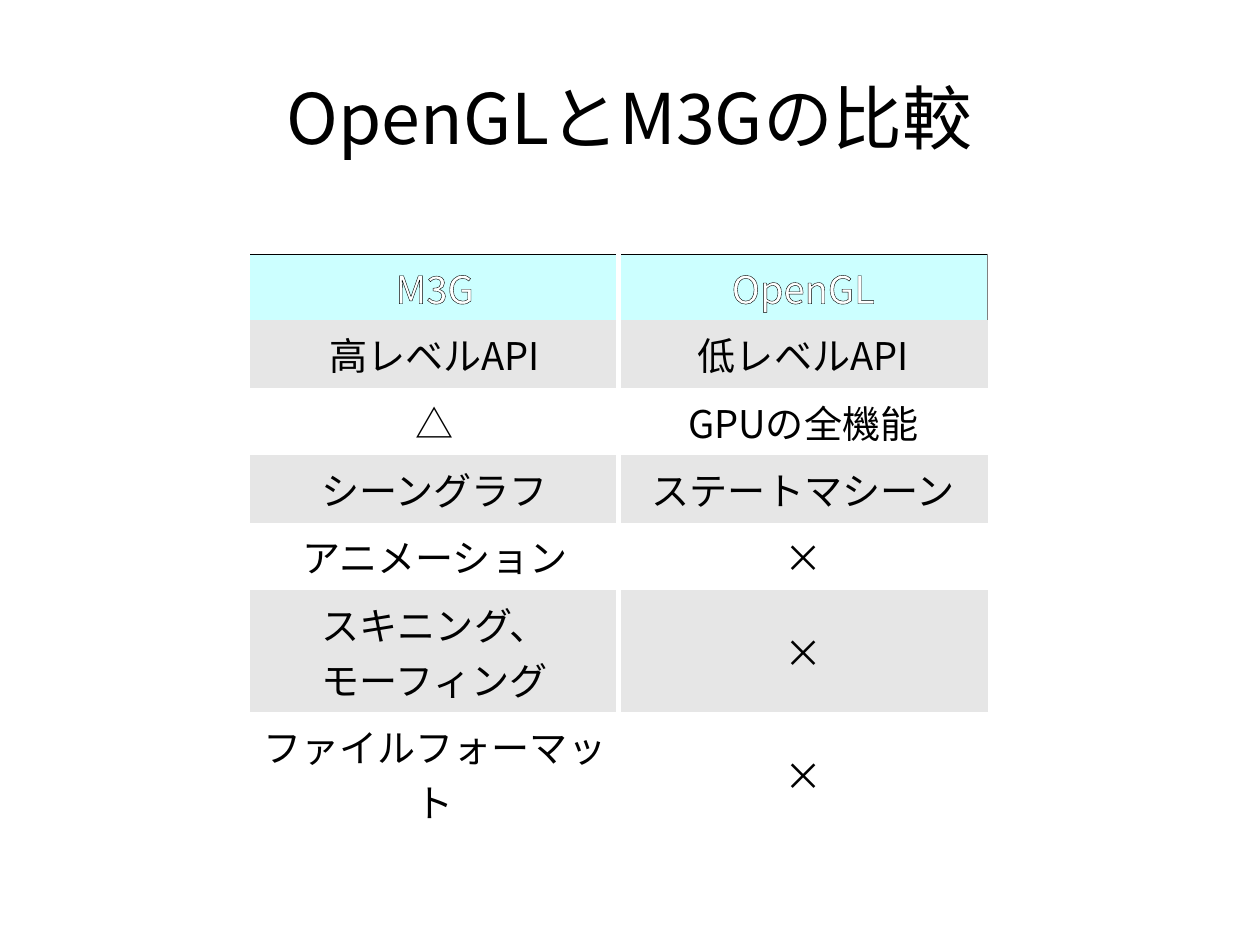
from lxml import etree
from pptx import Presentation
from pptx.dml.color import RGBColor
from pptx.enum.shapes import MSO_CONNECTOR
from pptx.enum.text import MSO_ANCHOR, PP_ALIGN
from pptx.oxml.ns import qn
from pptx.util import Cm, Inches, Pt

TITLE = "OpenGLとM3Gの比較"
ROWS = [
    ("M3G", "OpenGL"),
    ("高レベルAPI", "低レベルAPI"),
    ("△", "GPUの全機能"),
    ("シーングラフ", "ステートマシーン"),
    ("アニメーション", "×"),
    ("スキニング、\nモーフィング", "×"),
    ("ファイルフォーマット", "×"),
]
HEIGHTS = [0.56] + [0.59] * 4 + [1.07] * 2
# Header borders by column: side and colour, in the order the file format needs
BORDERS = [
    [("T", "000000")],
    [("L", "808080"), ("R", "808080"), ("T", "000000")],
]

FONT = "Noto Sans CJK JP"
BLACK = RGBColor(0x00, 0x00, 0x00)
WHITE = RGBColor(0xFF, 0xFF, 0xFF)
AQUA = RGBColor(0xCC, 0xFF, 0xFF)
GRAY = RGBColor(0xE6, 0xE6, 0xE6)
NO_STYLE = "{2D5ABB26-0587-4C30-8999-92F81FD0307C}"
CENTER = PP_ALIGN.CENTER
MIDDLE = MSO_ANCHOR.MIDDLE
STRAIGHT = MSO_CONNECTOR.STRAIGHT

LEFT, TOP, WIDTH = 2.19, 2.22, 6.45


def write(para, text, size, color):
    para.text = text
    para.alignment = CENTER
    font = para.font
    font.size = Pt(size)
    font.color.rgb = color
    font.name = FONT
    ea = etree.SubElement(para._p.pPr.find(qn("a:defRPr")), qn("a:ea"))
    ea.set("typeface", FONT)


def stroke(parent, pos, tag, width, color):
    """Insert a line element with a solid colour as child number pos."""
    line = etree.Element(qn(tag), w=str(Pt(width)))
    fill = etree.SubElement(line, qn("a:solidFill"))
    etree.SubElement(fill, qn("a:srgbClr"), val=color)
    parent.insert(pos, line)


def add_title(slide):
    box = slide.shapes.add_textbox(Inches(0.55), Inches(0.38), Inches(9.92), Inches(1.28))
    frame = box.text_frame
    frame.word_wrap = True
    frame.vertical_anchor = MIDDLE
    frame.margin_left = frame.margin_right = 0
    frame.margin_top = frame.margin_bottom = 0
    write(frame.paragraphs[0], TITLE, 44, BLACK)


def add_grid(slide):
    shape = slide.shapes.add_table(
        len(ROWS), 2, Inches(LEFT), Inches(TOP), Inches(WIDTH), Inches(sum(HEIGHTS)))
    table = shape.table
    table._tbl.tblPr.find(qn("a:tableStyleId")).text = NO_STYLE
    table.first_row = table.horz_banding = False
    for r, (texts, height) in enumerate(zip(ROWS, HEIGHTS)):
        table.rows[r].height = Inches(height)
        head = r == 0
        back = AQUA if head else GRAY if r % 2 else WHITE
        for c, text in enumerate(texts):
            cell = table.cell(r, c)
            cell.vertical_anchor = MIDDLE
            cell.fill.solid()
            cell.fill.fore_color.rgb = back
            para = cell.text_frame.paragraphs[0]
            write(para, text, 24, WHITE if head else BLACK)
            if head:
                stroke(para.runs[0]._r.get_or_add_rPr(), 0, "a:ln", 0.75, "000000")
                for pos, (side, color) in enumerate(BORDERS[c]):
                    stroke(cell._tc.tcPr, pos, "a:ln" + side, 0.06, color)


def add_gap(slide):
    """Draw the white line that parts the two columns."""
    x = Inches(5.41)
    line = slide.shapes.add_connector(STRAIGHT, x, Inches(2.11), x, Inches(6.48))
    line.line.color.rgb = WHITE
    line.line.width = Pt(2.83)
    etree.SubElement(line._element.spPr, qn("a:effectLst"))


def main():
    deck = Presentation()
    deck.slide_width = Cm(28)
    deck.slide_height = Cm(21)
    slide = deck.slides.add_slide(deck.slide_layouts[6])
    add_grid(slide)
    add_gap(slide)
    add_title(slide)
    deck.save("out.pptx")


if __name__ == "__main__":
    main()
